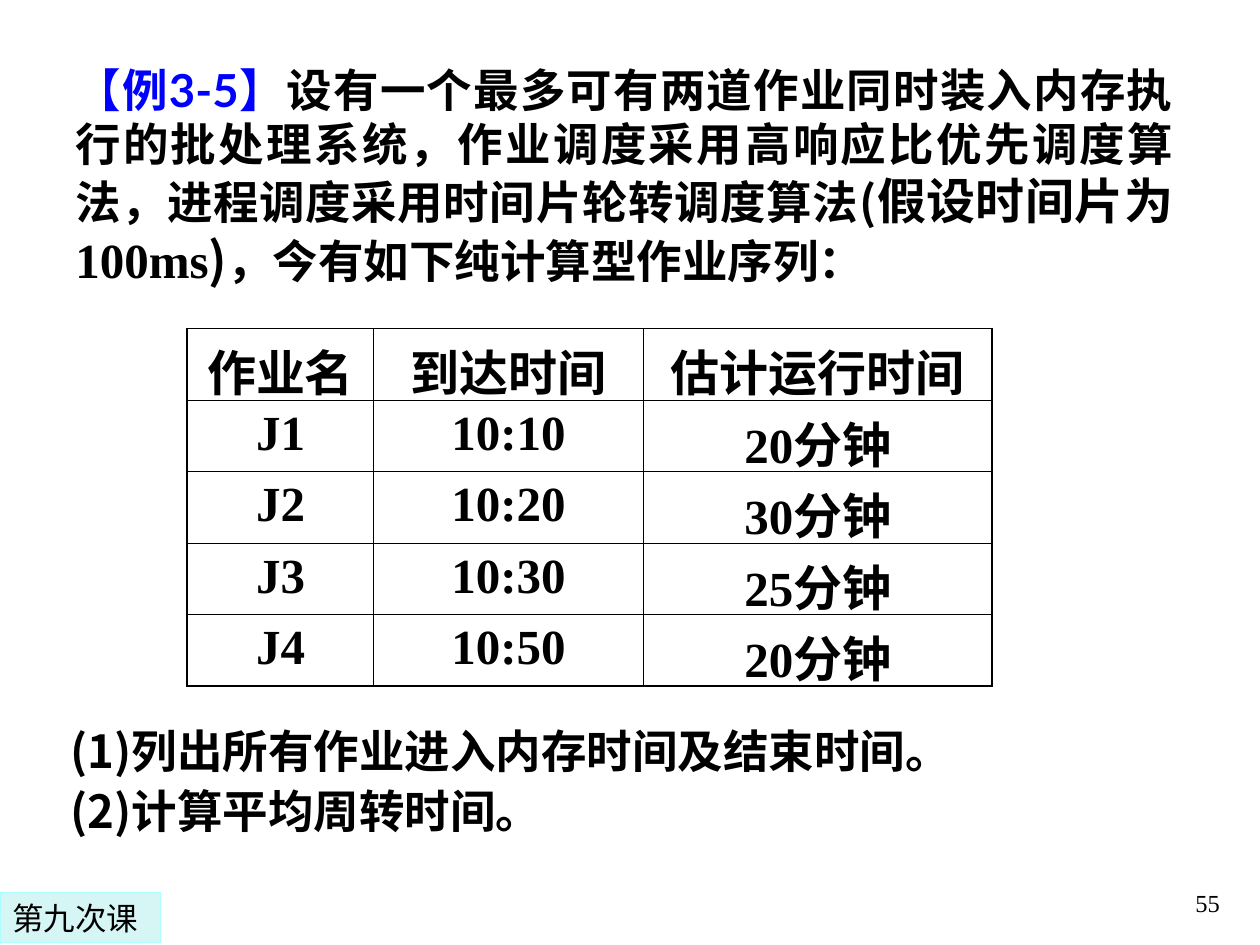
from lxml import etree
from pptx import Presentation
from pptx.dml.color import RGBColor
from pptx.enum.shapes import MSO_SHAPE
from pptx.enum.text import MSO_ANCHOR, PP_ALIGN
from pptx.oxml.ns import qn
from pptx.util import Pt

RECTANGLE = MSO_SHAPE.RECTANGLE
TOP, BOTTOM = MSO_ANCHOR.TOP, MSO_ANCHOR.BOTTOM
LEFT, CENTER, RIGHT, JUSTIFY = PP_ALIGN.LEFT, PP_ALIGN.CENTER, PP_ALIGN.RIGHT, PP_ALIGN.JUSTIFY
CJK, LATO, TIMES, DEJAVU = "Noto Sans CJK SC", "Lato", "Times New Roman", "DejaVu Sans"
COLORS = {"text": "000000", "example": "0000FF", "tag": "D6F5F5", "tag_edge": "ADFFFF"}
OUTER, INNER = 1.08, 0.45


def rgb(name):
    """Return the named colour."""
    return RGBColor.from_string(COLORS[name])


def add_text(paragraph, text, size=26, font=CJK, color="text", bold=True):
    """Add one formatted run, with a Chinese face for its ideographs."""
    run = paragraph.add_run()
    run.text = text
    run.font.size = Pt(size)
    run.font.name = font
    run.font.bold = bold
    run.font.color.rgb = rgb(color)
    latin = run.font._element.find(qn("a:latin"))
    east_asian = etree.Element(qn("a:ea"), typeface=CJK)
    latin.addnext(east_asian)


def set_paragraph(paragraph, align=LEFT, before=0):
    """Set alignment and spacing, and keep punctuation inside the margins."""
    paragraph.alignment = align
    paragraph.space_before = Pt(before)
    paragraph._p.get_or_add_pPr().set("hangingPunct", "0")
    return paragraph


def add_frame(slide, box, anchor=TOP):
    """Add a wrapping text box and return its frame."""
    frame = slide.shapes.add_textbox(*map(Pt, box)).text_frame
    frame.word_wrap = True
    frame.vertical_anchor = anchor
    return frame


def add_problem(slide, box):
    """Place the statement of the example."""
    frame = add_frame(slide, box)
    statement = set_paragraph(frame.paragraphs[0], align=JUSTIFY)
    add_text(statement, "【例", color="example")
    add_text(statement, "3-5", font=LATO, color="example")
    add_text(statement, "】", color="example")
    add_text(statement, "设有一个最多可有两道作业同时装入内存执行的批处理系统，作业调度采用")
    add_text(statement, "高响应比优先", font=LATO)
    add_text(statement, "调度算法，进程调度采用时间片轮转调度算法(")
    add_text(statement, "假设时间片为", size=28, font=LATO)
    add_text(statement, "100ms", size=28, font=TIMES)
    add_text(statement, ")", size=28)
    add_text(statement, "，今有如下纯计算型作业序列：")


def set_borders(cell, widths):
    """Draw the left, right, top and bottom borders of a cell."""
    properties = cell._tc.get_or_add_tcPr()
    for index, (side, width) in enumerate(zip("LRTB", widths)):
        line = etree.Element(qn(f"a:ln{side}"), w=str(int(Pt(width))))
        fill = etree.SubElement(line, qn("a:solidFill"))
        etree.SubElement(fill, qn("a:srgbClr"), val=COLORS["text"])
        properties.insert(index, line)


def add_jobs(slide, box):
    """Place the table of jobs, arrival times and run times."""
    jobs = [
        ("作业名", "到达时间", "估计运行时间"),
        ("J1", "10:10", "20分钟"),
        ("J2", "10:20", "30分钟"),
        ("J3", "10:30", "25分钟"),
        ("J4", "10:50", "20分钟"),
    ]
    widths = (106.6, 154, 199.4)
    last_row, last_column = len(jobs) - 1, len(widths) - 1
    frame = slide.shapes.add_table(len(jobs), len(widths), *map(Pt, box))
    table = frame.table
    table.first_row = table.horz_banding = False
    for column, width in zip(table.columns, widths):
        column.width = Pt(width)
    for r, job in enumerate(jobs):
        table.rows[r].height = Pt(box[3] / len(jobs))
        for c, value in enumerate(job):
            cell = table.cell(r, c)
            cell.fill.background()
            edges = (c == 0, c == last_column, r == 0, r == last_row)
            set_borders(cell, [OUTER if edge else INNER for edge in edges])
            paragraph = set_paragraph(cell.text_frame.paragraphs[0], align=CENTER)
            add_text(paragraph, value, size=28, font=TIMES)


def add_questions(slide, box):
    """Place the two questions."""
    frame = add_frame(slide, box)
    first = set_paragraph(frame.paragraphs[0])
    add_text(first, "(1)列出所有作业进入内存时间及结束时间。")
    second = set_paragraph(frame.add_paragraph(), before=3.3)
    add_text(second, "(2)计算平均周转时间。")


def add_lesson_tag(slide, box):
    """Place the tinted lesson label."""
    tag = slide.shapes.add_shape(RECTANGLE, *map(Pt, box))
    tag.shadow.inherit = False
    tag.fill.solid()
    tag.fill.fore_color.rgb = rgb("tag")
    tag.line.color.rgb = rgb("tag_edge")
    tag.line.width = Pt(0.75)
    frame = tag.text_frame
    frame.word_wrap = True
    frame.vertical_anchor = TOP
    lesson = set_paragraph(frame.paragraphs[0])
    add_text(lesson, "第九次课", size=18, font=DEJAVU, bold=False)


def add_page_number(slide, box):
    """Place the page number."""
    frame = add_frame(slide, box, anchor=BOTTOM)
    number = set_paragraph(frame.paragraphs[0], align=RIGHT)
    add_text(number, "55", size=14, font=TIMES, bold=False)


def main():
    """Build and save the slide."""
    deck = Presentation()
    deck.slide_width, deck.slide_height = Pt(720), Pt(540)
    slide = deck.slides.add_slide(deck.slide_layouts[6])
    add_page_number(slide, (554.4, 491.8, 149.8, 36))
    add_problem(slide, (36, 31.7, 641.5, 136.8))
    add_questions(slide, (33.1, 409.7, 588.2, 72.7))
    add_jobs(slide, (107, 187.7, 460, 204.5))
    add_lesson_tag(slide, (0, 510, 91.6, 28.8))
    deck.save("out.pptx")


if __name__ == "__main__":
    main()
